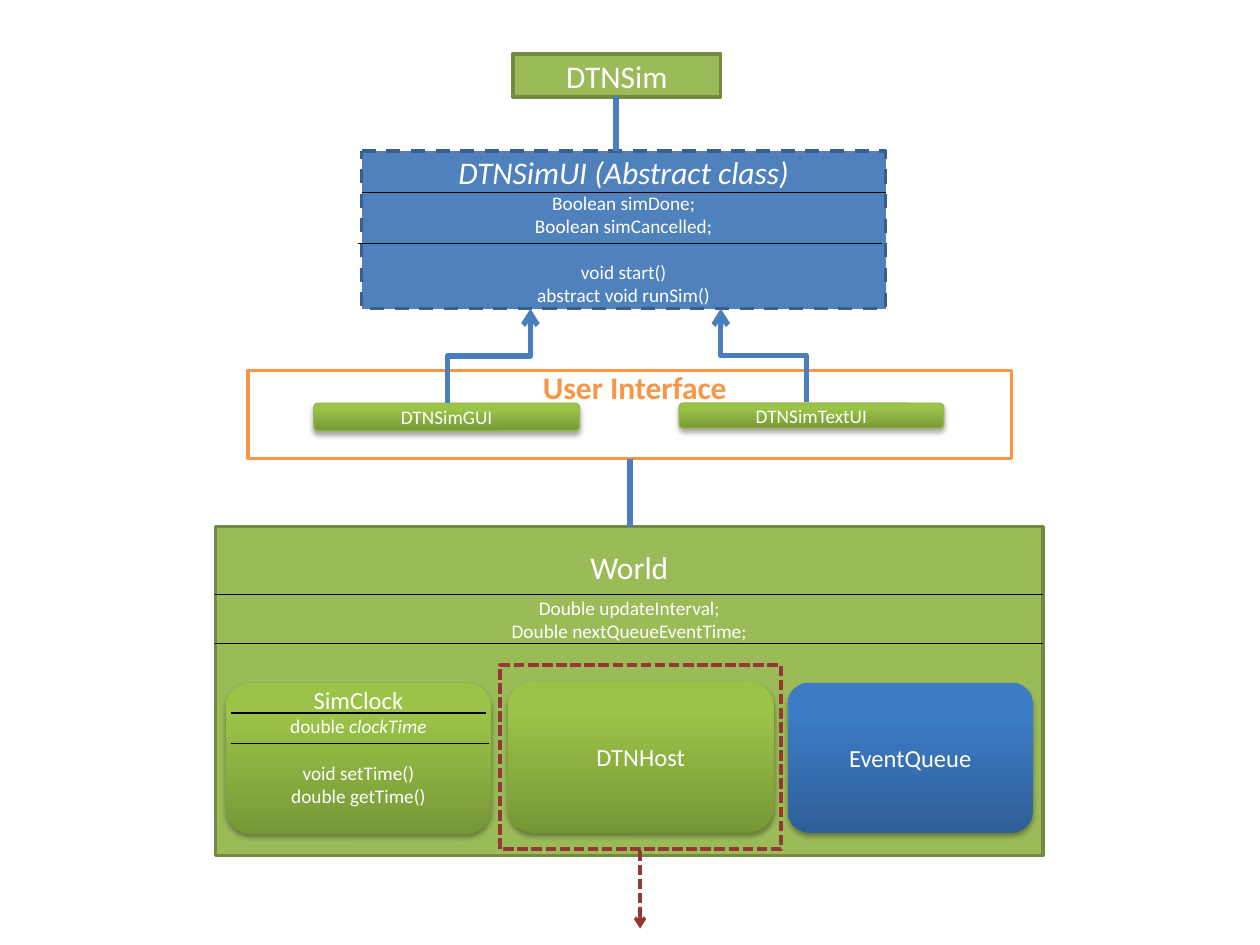
from lxml.etree import SubElement
from pptx import Presentation
from pptx.dml.color import RGBColor
from pptx.enum.dml import MSO_LINE
from pptx.enum.shapes import MSO_CONNECTOR, MSO_SHAPE
from pptx.enum.text import MSO_ANCHOR, PP_ALIGN
from pptx.oxml.ns import qn
from pptx.util import Inches, Pt

INK = {
    "white": "FFFFFF", "black": "000000", "orange": "F79646",
    "green": "9BBB59", "moss": "738A42", "rim": "98B955",
    "blue": "4F81BD", "navy": "3A5F8C", "link": "4B7EBC", "red": "953735",
    "leaf low": "779737", "leaf high": "9BC348",
    "sea low": "2F5F99", "sea high": "3D7CC7",
}
PLAIN, ROUND, RECT = (MSO_SHAPE.FLOWCHART_PROCESS, MSO_SHAPE.ROUNDED_RECTANGLE,
                      MSO_SHAPE.RECTANGLE)
BIG, MID, SMALL = 18, 14, 11
GAP = 13.4  # height of one small line, in points


def ink(name):
    """Return the named colour."""
    return RGBColor.from_string(INK[name])


class Chart:
    """Draws on one slide, on a grid of 100 columns by 75 rows."""

    def __init__(self, deck):
        self.font = "Calibri"
        self.wide, self.high = deck.slide_width / 100, deck.slide_height / 75
        self.slide = deck.slides.add_slide(deck.slide_layouts[6])

    def place(self, *at):
        """Turn columns and rows into slide lengths."""
        return [round(v * (self.high if i % 2 else self.wide))
                for i, v in enumerate(at)]

    def words(self, frame, lines, color="white", bold=False, align=PP_ALIGN.CENTER):
        """Fill a frame with (text, size, gap) lines; *stars* mark italics."""
        for i, (text, size, gap) in enumerate(lines):
            para = frame.paragraphs[0] if i == 0 else frame.add_paragraph()
            para.alignment = align
            para.space_before = Pt(gap)
            for j, part in enumerate(text.split("*")):
                if not part:
                    continue
                run = para.add_run()
                run.text = part
                font = run.font
                font.name, font.size, font.bold = self.font, Pt(size), bold
                font.italic = j % 2 == 1
                font.color.rgb = ink(color)

    def stroke(self, line, color, width, dash=None):
        """Style an outline or a connector."""
        if color is None:
            line.fill.background()
            return
        line.color.rgb = ink(color)
        line.width = Pt(width)
        if dash:
            line.dash_style = dash

    def box(self, kind, at, fill=None, edge=None, width=2, dash=None, lines=(),
            top=0, foot=0):
        """Add a shape; text is centred unless top rows are given."""
        shape = self.slide.shapes.add_shape(kind, *self.place(*at))
        shape.shadow.inherit = False
        if fill:
            shape.fill.solid()
            shape.fill.fore_color.rgb = ink(fill)
        else:
            shape.fill.background()
        self.stroke(shape.line, edge, width, dash)
        frame = shape.text_frame
        frame.word_wrap = True
        frame.vertical_anchor = MSO_ANCHOR.TOP if top else MSO_ANCHOR.MIDDLE
        frame.margin_top, frame.margin_bottom = (round(v * self.high)
                                                 for v in (top, foot))
        self.words(frame, lines)
        return shape

    def pill(self, at, lines, tone="leaf", edge=None, bend=None, foot=0):
        """Add a rounded box with a gradient and a soft shadow."""
        shape = self.box(ROUND, at, edge=edge, width=0.75, lines=lines, foot=foot)
        if bend:
            shape.adjustments[0] = bend
        shape.fill.gradient()
        shape.fill.gradient_angle = 90
        for stop, end, spot in zip(shape.fill.gradient_stops, ("low", "high"), (0, 0.8)):
            stop.color.rgb = ink(f"{tone} {end}")
            stop.position = spot
        glow = SubElement(shape._element.spPr.find(qn("a:effectLst")),
                          qn("a:outerShdw"), blurRad=str(Pt(3.1)),
                          dist=str(Pt(1.8)), dir="5400000", rotWithShape="0")
        tint = SubElement(glow, qn("a:srgbClr"), val=INK["black"])
        SubElement(tint, qn("a:alpha"), val="35000")

    def label(self, at, text, color, **style):
        """Add a loose heading."""
        frame = self.slide.shapes.add_textbox(*self.place(*at)).text_frame
        frame.word_wrap = True
        self.words(frame, [(text, BIG, 0)], color, **style)

    def line(self, ends, color="black", width=0.75, dash=None, arrow=False,
             kind=MSO_CONNECTOR.STRAIGHT):
        """Add a connector between two points."""
        link = self.slide.shapes.add_connector(kind, *self.place(*ends))
        self.stroke(link.line, color, width, dash)
        props = link._element.spPr
        if arrow:
            SubElement(props.find(qn("a:ln")), qn("a:tailEnd"), type="arrow")
        SubElement(props, qn("a:effectLst"))
        return link

    def climb(self, x1, y1, x2, y2):
        """Add an elbow arrow that leaves upwards: a sideways one, turned."""
        midx, midy = (x1 + x2) / 2, (y1 + y2) / 2
        run, rise = (y1 - y2) / 2, (x2 - x1) / 2
        link = self.line((midx - run, midy - rise, midx + run, midy + rise),
                         "link", 3, arrow=True, kind=MSO_CONNECTOR.ELBOW)
        link._element.spPr.find(qn("a:xfrm")).set("rot", str(270 * 60000))


deck = Presentation()
deck.slide_width, deck.slide_height = Inches(10), Inches(7.5)
art = Chart(deck)

# User interface layer
art.box(PLAIN, (19.7, 29.4, 60.6, 7), "white", "orange")
art.box(PLAIN, (40.7, 4.3, 16.5, 3.4), "green", "moss", lines=[("DTNSim", BIG, 0)])
art.box(PLAIN, (28.7, 12, 41.6, 12.5), "blue", "navy", dash=MSO_LINE.DASH, lines=[
    ("*DTNSimUI (Abstract class)*", BIG, 0),
    ("Boolean simDone;", SMALL, 0),
    ("Boolean simCancelled;", SMALL, 0),
    ("void start()", SMALL, GAP),
    ("abstract void runSim()", SMALL, 0)])
art.pill((24.9, 32, 21.1, 2.2), [("DTNSimGUI", SMALL, 0)], edge="rim")
art.pill((53.9, 32, 21, 2), [("DTNSimTextUI", SMALL, 0)], edge="rim")
art.label((42.1, 28.7, 20.5, 4), "User Interface", "orange", bold=True,
          align=PP_ALIGN.LEFT)
art.line((48.9, 7.6, 48.9, 12), "link", 3)
art.climb(35.5, 32, 42.1, 24.5)
art.climb(64, 31.9, 57.2, 24.5)

# World
art.box(PLAIN, (17.1, 41.8, 65.7, 26.1), "green", "moss", top=5.5, lines=[
    ("Double updateInterval;", SMALL, 0),
    ("Double nextQueueEventTime;", SMALL, 0)])
art.line((50, 36.4, 50, 41.8), "link", 3)
art.label((44.8, 43, 10.3, 4), "World", "white")

for left, right, row in ((28.7, 70.3, 15.3), (28.4, 70, 19.3),
                         (17.1, 82.8, 47.2), (17.1, 82.8, 51.1)):
    art.line((left, row, right, row))

# Parts of the world
art.pill((17.9, 54.2, 21.1, 12), foot=2, lines=[
    ("SimClock", MID, 0),
    ("double *clockTime*", SMALL, 0),
    ("void setTime()", SMALL, GAP),
    ("double getTime()", SMALL, 0)])
for right, row in ((38.6, 56.6), (38.8, 59)):
    art.line((18.3, row, right, row))
art.pill((40.3, 54.1, 21.1, 12), [("DTNHost", MID, 0)])
art.pill((62.5, 54.2, 19.5, 11.9), [("EventQueue", MID, 0)], "sea", bend=0.15)
art.box(RECT, (39.7, 52.8, 22.3, 14.6), edge="red", dash=MSO_LINE.SQUARE_DOT)
art.line((50.8, 67.5, 50.8, 73.7), "red", 2, MSO_LINE.SQUARE_DOT, arrow=True)

deck.save("out.pptx")
